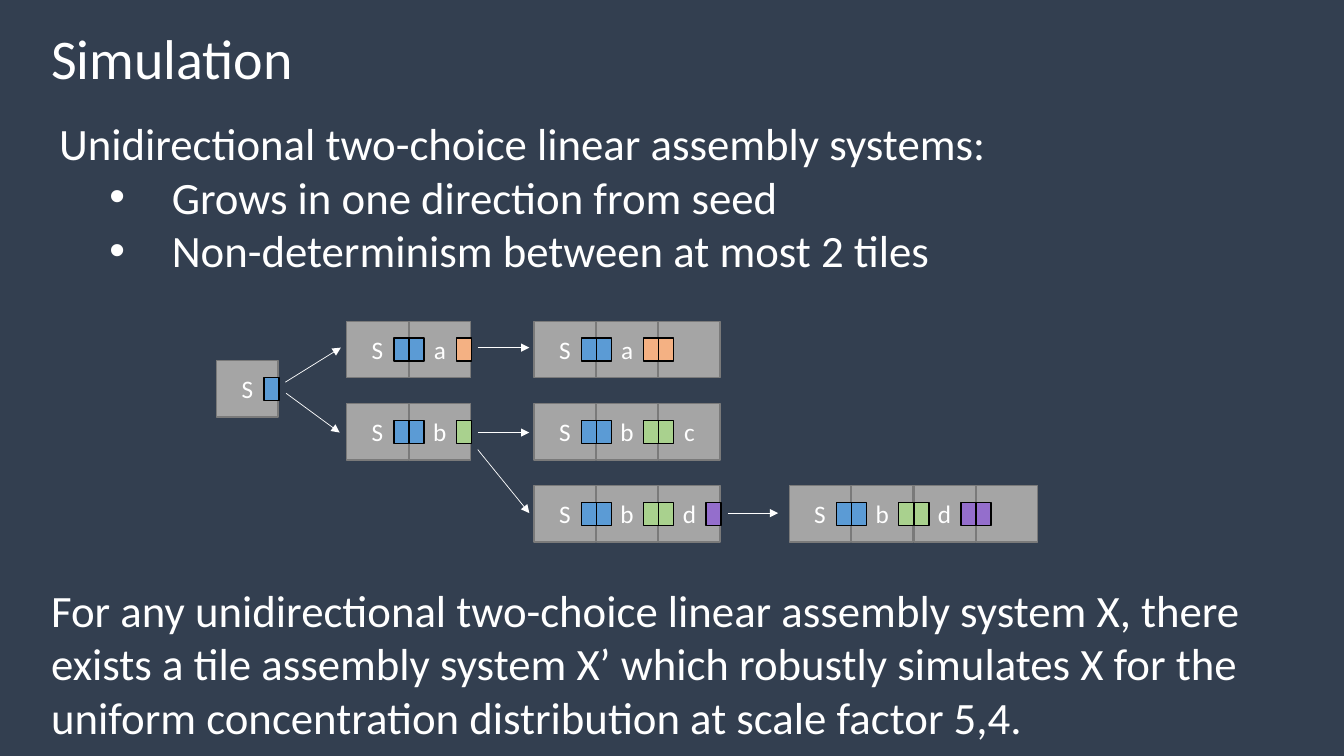
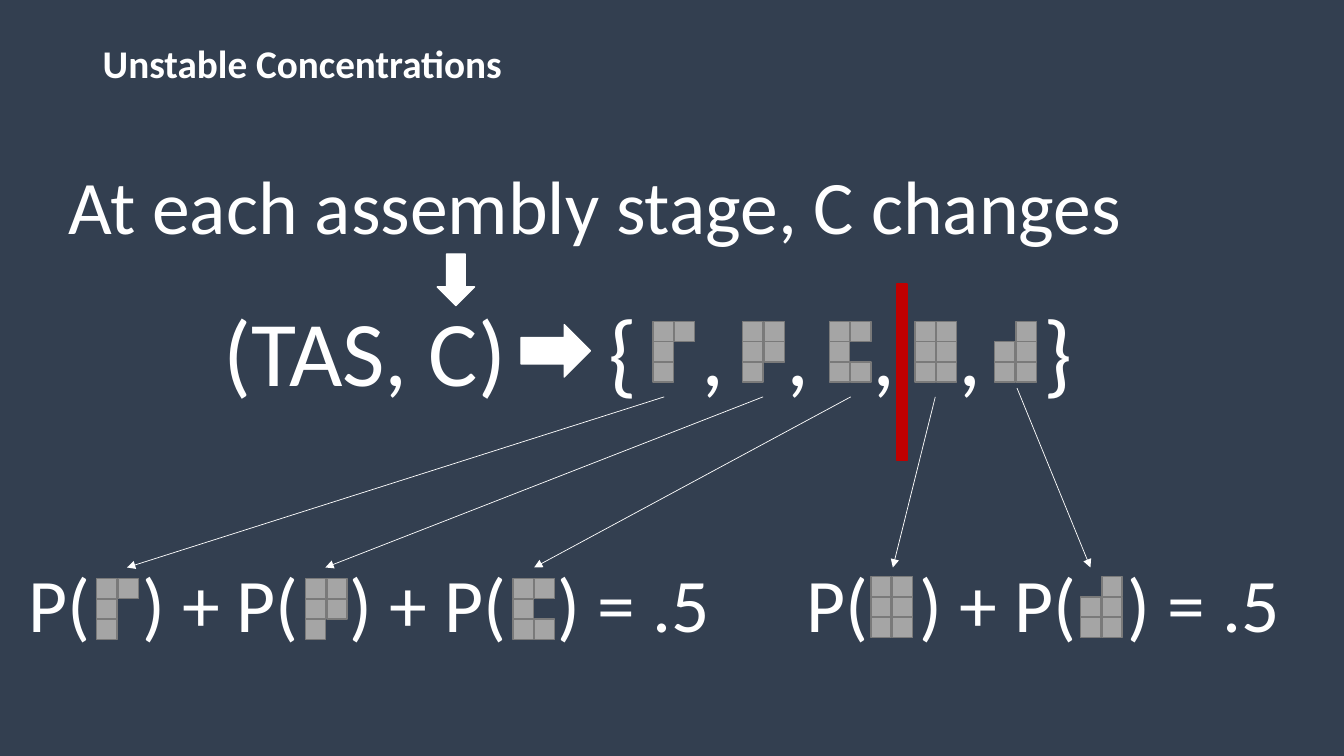
"""Build two slides on linear tile assembly systems and unstable concentrations."""
import dataclasses

import lxml.etree
import pptx
import pptx.dml.color
import pptx.enum.shapes
import pptx.enum.text
import pptx.oxml.ns
import pptx.presentation
import pptx.shapes.autoshape
import pptx.slide
import pptx.text.text
import pptx.util

Cm = pptx.util.Cm
Pt = pptx.util.Pt
qn = pptx.oxml.ns.qn
SHAPE = pptx.enum.shapes.MSO_SHAPE

FONT = "Calibri"
NAVY, WHITE, BLACK, RED = "333F50", "FFFFFF", "000000", "C00000"
GREY, DARK_GREY = "A5A5A5", "7A7A7A"
BLUE, ORANGE, GREEN, PURPLE = "5B9BD5", "F4B183", "A9D18E", "946ECC"

TILE_WIDTH, TILE_HEIGHT, TILE_PITCH = 1.55, 1.42, 1.57
GLUE_WIDTH, GLUE_HEIGHT = 0.38, 0.58
CELL, CELL_PITCH = 0.51, 0.54
ROWS = [8.1, 10.17, 12.24]


@dataclasses.dataclass(frozen=True)
class Chain:
    left: float
    top: float
    labels: tuple[str, ...]
    glues: tuple[str, ...]


@dataclasses.dataclass(frozen=True)
class Arrow:
    start: tuple[float, float]
    end: tuple[float, float]


@dataclasses.dataclass(frozen=True)
class Assembly:
    rows: tuple[str, ...]
    in_set: tuple[float, float]
    in_sum: tuple[float, float]
    arrow: Arrow


CHAINS = [
    Chain(5.46, 9.09, ("S",), (BLUE,)),
    Chain(8.74, ROWS[0], ("S", "a"), (BLUE, ORANGE)),
    Chain(8.74, ROWS[1], ("S", "b"), (BLUE, GREEN)),
    Chain(13.46, ROWS[0], ("S", "a", ""), (BLUE, ORANGE)),
    Chain(13.46, ROWS[1], ("S", "b", "c"), (BLUE, GREEN)),
    Chain(13.46, ROWS[2], ("S", "b", "d"), (BLUE, GREEN, PURPLE)),
    Chain(19.89, ROWS[2], ("S", "b", "d", ""), (BLUE, GREEN, PURPLE)),
]

GROWTH_ARROWS = [
    Arrow((7.19, 9.63), (8.59, 8.76)),
    Arrow((7.21, 9.91), (8.56, 10.9)),
    Arrow((12.04, 8.76), (13.34, 8.76)),
    Arrow((12.04, 10.9), (13.34, 10.9)),
    Arrow((12.04, 11.33), (13.34, 12.93)),
    Arrow((18.34, 12.93), (19.61, 12.93)),
]

ASSEMBLIES = [
    Assembly(("##", "#.", "#."), (16.46, 8.1), (2.44, 14.58), Arrow((16.74, 10), (3.2, 14.3))),
    Assembly(("##", "##", "#."), (18.72, 8.1), (7.7, 14.58), Arrow((19.23, 10), (8.2, 14.3))),
    Assembly(("##", "#.", "##"), (20.9, 8.1), (12.93, 14.58), Arrow((21.44, 10), (13.46, 14.3))),
    Assembly(("##", "##", "##"), (23.06, 8.1), (21.95, 14.53), Arrow((23.57, 10), (22.5, 14.3))),
    Assembly((".#", "##", "##"), (25.07, 8.1), (27.23, 14.53), Arrow((25.63, 9.78), (27.48, 14.3))),
]


def colour(value: str) -> pptx.dml.color.RGBColor:
    return pptx.dml.color.RGBColor.from_string(value)


def format_runs(para: pptx.text.text._Paragraph, size: float, bold: bool = False) -> None:
    for span in para.runs:
        span.font.name = FONT
        span.font.size = Pt(size)
        span.font.bold = bold
        span.font.color.rgb = colour(WHITE)


def add_text(page: pptx.slide.Slide, left: float, top: float, width: float, height: float,
             text: str, size: float, bold: bool = False) -> pptx.text.text.TextFrame:
    box = page.shapes.add_textbox(Cm(left), Cm(top), Cm(width), Cm(height))
    frame = box.text_frame
    frame.word_wrap = True
    frame.text = text
    for para in frame.paragraphs:
        format_runs(para, size, bold)
    return frame


def add_tabbed(page: pptx.slide.Slide, left: float, top: float, width: float, height: float,
               pieces: list[str], stops: list[float], size: float) -> None:
    frame = add_text(page, left, top, width, height, "\t".join(pieces), size)
    properties = frame.paragraphs[0]._p.get_or_add_pPr()
    tabs = lxml.etree.SubElement(properties, qn("a:tabLst"))
    for stop in stops:
        lxml.etree.SubElement(tabs, qn("a:tab"), pos=str(int(Cm(stop))), algn="l")


def add_bullet(para: pptx.text.text._Paragraph) -> None:
    properties = para._p.get_or_add_pPr()
    properties.set("marL", str(int(Cm(2.84))))
    properties.set("indent", str(int(Cm(-1.57))))
    lxml.etree.SubElement(properties, qn("a:buFont"), typeface="Arial")
    lxml.etree.SubElement(properties, qn("a:buChar"), char="•")


def add_block(page: pptx.slide.Slide, left: float, top: float, width: float, height: float,
              fill: str, line: str, kind: SHAPE = SHAPE.RECTANGLE) -> pptx.shapes.autoshape.Shape:
    block = page.shapes.add_shape(kind, Cm(left), Cm(top), Cm(width), Cm(height))
    block.shadow.inherit = False
    block.fill.solid()
    block.fill.fore_color.rgb = colour(fill)
    block.line.color.rgb = colour(line)
    block.line.width = Pt(1)
    return block


def add_arrow(page: pptx.slide.Slide, arrow: Arrow) -> None:
    ends = [Cm(value) for value in arrow.start + arrow.end]
    connector = page.shapes.add_connector(pptx.enum.shapes.MSO_CONNECTOR.STRAIGHT, *ends)
    connector.line.color.rgb = colour(WHITE)
    connector.line.width = Pt(0.5)
    properties = connector._element.spPr
    lxml.etree.SubElement(properties.find(qn("a:ln")), qn("a:tailEnd"), type="triangle")
    lxml.etree.SubElement(properties, qn("a:effectLst"))


def add_tile(page: pptx.slide.Slide, left: float, top: float, label: str) -> None:
    tile = add_block(page, left, top, TILE_WIDTH, TILE_HEIGHT, GREY, DARK_GREY)
    if label:
        frame = tile.text_frame
        frame.text = label
        frame.vertical_anchor = pptx.enum.text.MSO_ANCHOR.MIDDLE
        frame.paragraphs[0].alignment = pptx.enum.text.PP_ALIGN.CENTER
        format_runs(frame.paragraphs[0], 18)


def add_chain(page: pptx.slide.Slide, chain: Chain) -> None:
    for index, label in enumerate(chain.labels):
        add_tile(page, chain.left + index * TILE_PITCH, chain.top, label)
    glue_top = chain.top + (TILE_HEIGHT - GLUE_HEIGHT) / 2
    for index, glue in enumerate(chain.glues):
        seam = chain.left + (index + 1) * TILE_PITCH
        add_block(page, seam - GLUE_WIDTH, glue_top, GLUE_WIDTH, GLUE_HEIGHT, glue, BLACK)
        if index + 1 < len(chain.labels):
            add_block(page, seam, glue_top, GLUE_WIDTH, GLUE_HEIGHT, glue, BLACK)


def add_cells(page: pptx.slide.Slide, rows: tuple[str, ...], corner: tuple[float, float]) -> None:
    left, top = corner
    for row, marks in enumerate(rows):
        for column, mark in enumerate(marks):
            if mark == "#":
                add_block(page, left + column * CELL_PITCH, top + row * CELL, CELL, CELL,
                          GREY, DARK_GREY)


def build_simulation(page: pptx.slide.Slide) -> None:
    add_text(page, 1.04, 0.46, 6.68, 1.96, "Simulation", 40)
    points = ["Unidirectional two-choice linear assembly systems:",
              "Grows in one direction from seed",
              "Non-determinism between at most 2 tiles"]
    frame = add_text(page, 1.24, 2.79, 32.33, 4.37, "\n".join(points), 32)
    for para in frame.paragraphs[1:]:
        para.level = 1
        add_bullet(para)
    for chain in CHAINS:
        add_chain(page, chain)
    for arrow in GROWTH_ARROWS:
        add_arrow(page, arrow)
    add_text(page, 1.04, 14.55, 32.33, 4.37,
             "For any unidirectional two-choice linear assembly system X, there exists a tile "
             "assembly system X’ which robustly simulates X for the uniform concentration "
             "distribution at scale factor 5,4.", 32)


def build_concentrations(page: pptx.slide.Slide) -> None:
    title = add_text(page, 2.34, 0.99, 29.21, 1.5, "Unstable Concentrations", 28, True)
    title.paragraphs[0].line_spacing = 0.9
    add_text(page, 1.47, 3.89, 32.33, 2.57, "At each assembly stage, C changes", 54)
    set_stops = [9.7] + [12.04 + 2.16 * index for index in range(5)]
    add_tabbed(page, 5.38, 7.29, 22.5, 3.07, ["(TAS, C)", "{", ",", ",", ",", ",", "}"],
               set_stops, 66)
    sum_stops = [2.85 + 5.24 * index for index in range(3)]
    add_tabbed(page, 0.48, 13.92, 18.6, 2.57, ["P(", ") + P(", ") + P(", ") = .5"],
               sum_stops, 54)
    add_tabbed(page, 20.07, 13.92, 12.9, 2.57, ["P(", ") + P(", ") = .5"], sum_stops[:2], 54)
    add_block(page, 13.13, 8.18, 1.75, 1.32, WHITE, WHITE, SHAPE.RIGHT_ARROW)
    add_block(page, 11.02, 6.4, 0.94, 1.3, WHITE, WHITE, SHAPE.DOWN_ARROW)
    add_block(page, 22.61, 7.16, 0.25, 4.45, RED, RED)
    for assembly in ASSEMBLIES:
        add_cells(page, assembly.rows, assembly.in_set)
        add_cells(page, assembly.rows, assembly.in_sum)
        add_arrow(page, assembly.arrow)


def main() -> None:
    deck = pptx.Presentation()
    deck.slide_width, deck.slide_height = Cm(33.87), Cm(19.05)
    backdrop = deck.slide_master.background.fill
    backdrop.solid()
    backdrop.fore_color.rgb = colour(NAVY)
    for build in (build_simulation, build_concentrations):
        build(deck.slides.add_slide(deck.slide_layouts[6]))
    deck.save("out.pptx")


if __name__ == "__main__":
    main()
